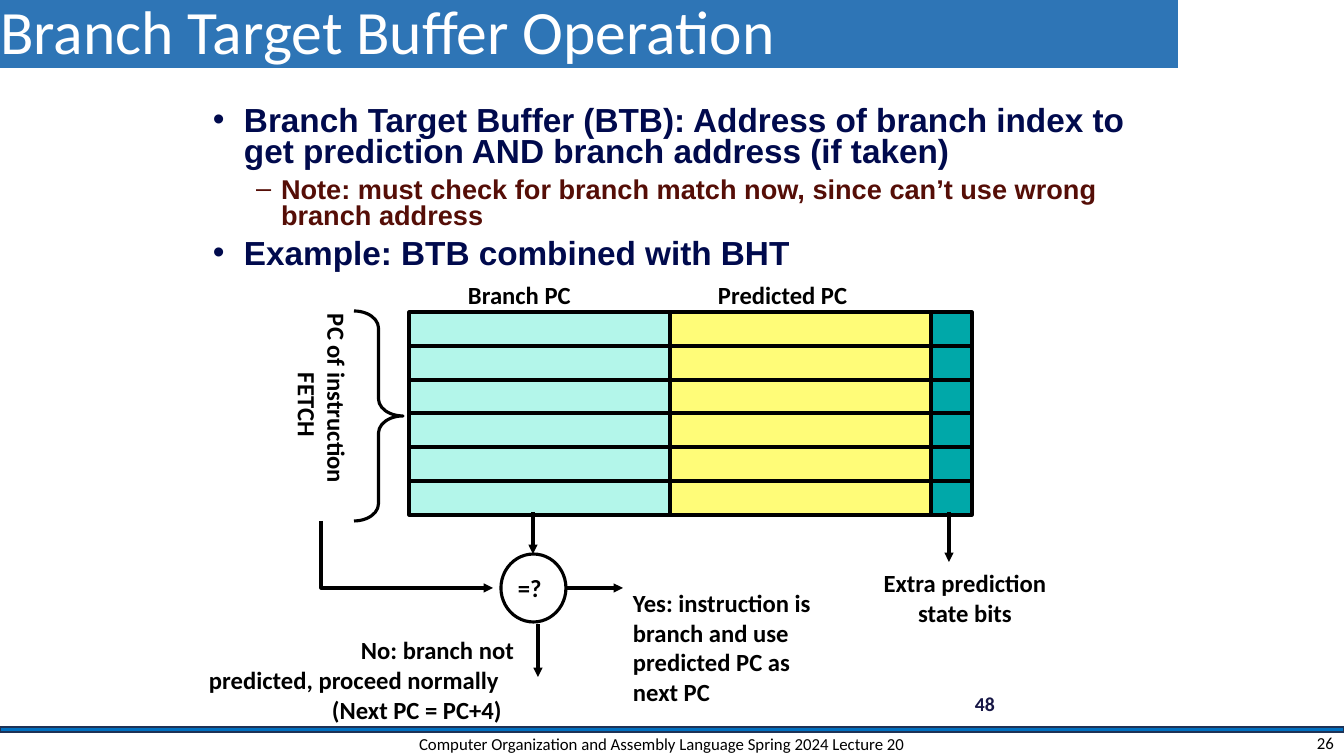
from lxml.etree import SubElement
from pptx import Presentation
from pptx.dml.color import RGBColor
from pptx.enum.shapes import MSO_CONNECTOR as CONN, MSO_SHAPE as SHAPE
from pptx.enum.text import MSO_ANCHOR as ANCHOR, MSO_AUTO_SIZE as AUTO, PP_ALIGN as ALIGN
from pptx.oxml.ns import qn
from pptx.util import Pt

PX = 914400 / 100.8  # EMU in one px
BLACK, WHITE, NAVY, MAROON = "000000", "FFFFFF", "000A4D", "550E07"

# Buffer grid: column widths with their colours, equal rows
GRID_X, GRID_Y, ROW_H, ROWS = 409, 312, 34, 6
COLUMNS = [(261, "B3F6EA"), (261, "FFFC78"), (41, "00A8A9")]


def px(n):
    return round(n * PX)


def rgb(code):
    return RGBColor.from_string(code)


def place(sp, x, y, w, h):
    sp.left, sp.top, sp.width, sp.height = px(x), px(y), px(w), px(h)


def set_frame(tf, anchor=ANCHOR.TOP):
    tf.word_wrap = True
    tf.auto_size = AUTO.NONE
    tf.vertical_anchor = anchor
    tf.margin_left = tf.margin_right = tf.margin_top = tf.margin_bottom = 0


def write(p, text, size=17.6, font="Calibri", color=BLACK, bold=True, align=ALIGN.LEFT,
          left=0, hang=0, bullet=None, before=0, spacing=1.0):
    """Fill one paragraph and format it."""
    pPr = p._p.get_or_add_pPr()
    pPr.set("marL", str(px(left)))
    pPr.set("indent", str(-px(hang)))
    if bullet:
        SubElement(pPr, qn("a:buChar")).set("char", bullet)
    else:
        SubElement(pPr, qn("a:buNone"))
    p.alignment, p.space_before, p.line_spacing = align, Pt(before), spacing
    r = p.add_run()
    r.text = text
    r.font.size, r.font.name, r.font.bold = Pt(size), font, bold
    r.font.color.rgb = rgb(color)


def add_label(slide, x, y, w, h, text, anchor=ANCHOR.TOP, **fmt):
    tf = slide.shapes.add_textbox(px(x), px(y), px(w), px(h)).text_frame
    set_frame(tf, anchor)
    write(tf.paragraphs[0], text, **fmt)
    return tf


def outline(sp, color=BLACK, width=2.25):
    sp.line.color.rgb = rgb(color)
    sp.line.width = Pt(width)


def add_box(slide, kind, x, y, w, h, fill=None, **line):
    sp = slide.shapes.add_shape(kind, px(x), px(y), px(w), px(h))
    sp.shadow.inherit = False
    if fill:
        sp.fill.solid()
        sp.fill.fore_color.rgb = rgb(fill)
    else:
        sp.fill.background()
    outline(sp, **line)
    return sp


def add_arrowhead(sp):
    SubElement(sp.line._get_or_add_ln(), qn("a:tailEnd")).set("type", "triangle")


def add_arrow(slide, x1, y1, x2, y2):
    cx = slide.shapes.add_connector(CONN.STRAIGHT, px(x1), px(y1), px(x2), px(y2))
    outline(cx)
    add_arrowhead(cx)
    SubElement(cx._element.spPr, qn("a:effectLst"))


def add_bent_arrow(slide, start, *points):
    builder = slide.shapes.build_freeform(*start, scale=PX)
    builder.add_line_segments(points, close=False)
    sp = builder.convert_to_shape()
    sp.shadow.inherit = False
    sp.fill.background()
    outline(sp)
    add_arrowhead(sp)


def add_grid(slide):
    for row in range(ROWS):
        x = GRID_X
        for width, fill in COLUMNS:
            add_box(slide, SHAPE.RECTANGLE, x, GRID_Y + row * ROW_H - row // 3, width, ROW_H, fill)
            x += width


def add_title(slide, text):
    title = slide.shapes.title
    place(title, 0, -8, 1178, 76)
    title.fill.solid()
    title.fill.fore_color.rgb = rgb("2E75B6")
    set_frame(title.text_frame, ANCHOR.MIDDLE)
    write(title.text_frame.paragraphs[0], text, size=44, color=WHITE, bold=False)


def add_bullets(slide):
    body = slide.placeholders[1]
    place(body, 212, 108, 919, 170)
    tf = body.text_frame
    set_frame(tf)
    main_fmt = dict(size=23.8, font="Arial", color=NAVY, left=32, hang=31, bullet="•")
    write(tf.paragraphs[0], "Branch Target Buffer (BTB): Address of branch index to "
          "get prediction AND branch address (if taken)", spacing=0.77, **main_fmt)
    note = tf.add_paragraph()
    note.level = 1
    write(note, "Note: must check for branch match now, since can’t use wrong branch address",
          size=19.4, font="Arial", color=MAROON, left=69, hang=25, bullet="–",
          before=6.2, spacing=0.8)
    write(tf.add_paragraph(), "Example: BTB combined with BHT", before=1.4, **main_fmt)


def main():
    prs = Presentation()
    prs.slide_width, prs.slide_height = px(1344), px(756)
    slide = prs.slides.add_slide(prs.slide_layouts[1])

    add_title(slide, "Branch Target Buffer Operation")
    add_bullets(slide)

    # Buffer with its headings
    add_label(slide, 468, 280, 120, 30, "Branch PC")
    add_label(slide, 718, 280, 150, 30, "Predicted PC")
    add_grid(slide)

    # Fetch address on the left
    fetch = add_label(slide, 292, 313, 60, 204, "PC of instruction FETCH", left=60, hang=59)
    fetch._txBody.bodyPr.set("vert", "vert")
    brace = add_box(slide, SHAPE.RIGHT_BRACE, 354, 311, 49, 210)
    brace.adjustments[0] = 0.35

    # Comparison and its arrows
    add_box(slide, SHAPE.OVAL, 501, 554, 65, 68)
    add_label(slide, 518, 573, 32, 31, "=?")
    add_bent_arrow(slide, (321, 521), (321, 588), (493, 588))
    add_arrow(slide, 533, 512, 533, 554)
    add_arrow(slide, 566, 588, 623, 588)
    add_arrow(slide, 538, 624, 538, 677)
    add_arrow(slide, 949, 512, 949, 562)

    # Outcomes
    add_label(slide, 868, 568, 194, 61, "Extra prediction state bits", align=ALIGN.CENTER)
    add_label(slide, 633, 588, 195, 120,
              "Yes: instruction is branch and use predicted PC as next PC")
    add_label(slide, 361, 635, 185, 30, "No: branch not")
    no_case = add_label(slide, 209, 665, 338, 61, "predicted, proceed normally")
    write(no_case.add_paragraph(), "(Next PC = PC+4)", left=123)

    # Footer
    add_label(slide, 975, 692, 26, 28, "48", size=14.1, color="161645")
    add_box(slide, SHAPE.RECTANGLE, 0, 727, 1344, 5, "0070C0", color="1E3256", width=1)
    small = dict(anchor=ANCHOR.MIDDLE, size=12, bold=False)
    add_label(slide, 395, 730, 534, 28,
              "Computer Organization and Assembly Language Spring 2024 Lecture 20",
              align=ALIGN.CENTER, **small)
    add_label(slide, 1041, 730, 293, 26, "26", align=ALIGN.RIGHT, **small)

    prs.save("out.pptx")


if __name__ == "__main__":
    main()
